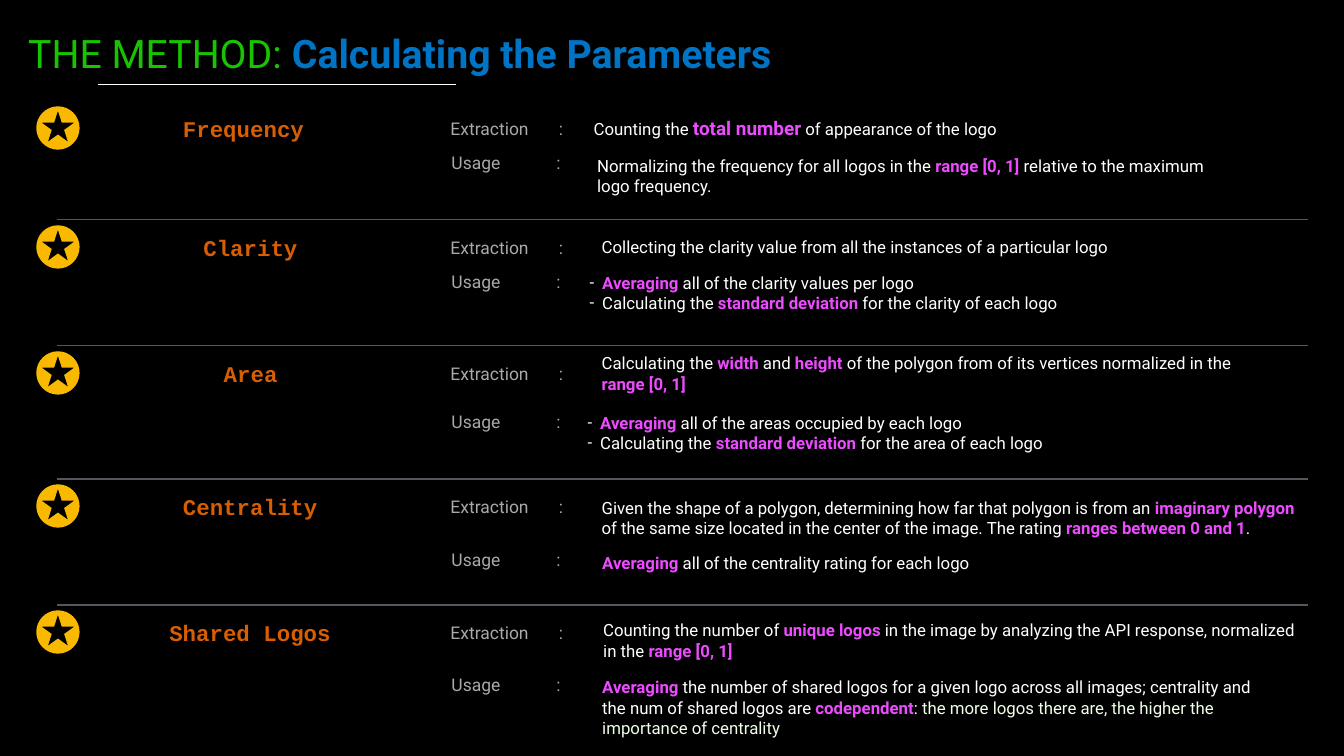
import math

from lxml import etree
from pptx import Presentation
from pptx.dml.color import RGBColor
from pptx.enum import shapes, text
from pptx.oxml.ns import qn
from pptx.util import Inches, Pt

THEME = {
    "background": "000000", "title": "18C400", "subtitle": "0074C4",
    "name": "D75E02", "label": "A9A9A9", "body": "FFFFFF", "pale": "F0FFE9",
    "highlight": "ED4BFF", "badge": "F9B900", "divider": "53585F",
    "sans": "Roboto", "mono": "Courier New",
    "title_size": 56, "name_size": 32, "label_size": 25,
    "body_size": 24, "large_size": 27,
}
# A first character inside *...* picks another style than the plain highlight.
MARKS = {
    "+": {"color": "highlight", "bold": True, "size": "large_size"},
    "~": {"color": "pale", "bold": False},
    "#": {"color": "subtitle", "bold": True},
}
HIGHLIGHT = {"color": "highlight", "bold": True}


def write(box, place, paragraphs, role, face="sans", bold=False, tab=None):
    """Place a box and fill it; *...* marks emphasis and '- ' a bullet."""
    box.left, box.top, box.width, box.height = (Inches(n) for n in place)
    frame = box.text_frame
    frame.word_wrap = True
    frame.auto_size = text.MSO_AUTO_SIZE.NONE
    frame.vertical_anchor = text.MSO_ANCHOR.MIDDLE
    frame.margin_left = frame.margin_top = frame.margin_bottom = Inches(0.06)
    frame.margin_right = 0
    for index, content in enumerate(paragraphs):
        paragraph = frame.add_paragraph() if index else frame.paragraphs[0]
        paragraph.alignment = text.PP_ALIGN.LEFT
        props = paragraph._p.get_or_add_pPr()
        if content.startswith("- "):
            content = content[2:]
            props.set("marL", str(Inches(0.25)))
            props.set("indent", str(-Inches(0.25)))
            bullet_color = etree.SubElement(props, qn("a:buClr"))
            etree.SubElement(bullet_color, qn("a:srgbClr"), val=THEME[role])
            etree.SubElement(props, qn("a:buFont"), typeface=THEME[face])
            etree.SubElement(props, qn("a:buChar"), char="-")
        if tab:
            stops = etree.SubElement(props, qn("a:tabLst"))
            etree.SubElement(stops, qn("a:tab"), pos=str(Inches(tab)), algn="l")
        paragraph.font.name = THEME[face]
        paragraph.font.size = Pt(THEME[role + "_size"])
        paragraph.font.bold = bold
        paragraph.font.color.rgb = RGBColor.from_string(THEME[role])
        for number, piece in enumerate(content.split("*")):
            if not piece:
                continue
            run = paragraph.add_run()
            run.text = piece
            if number % 2:
                style = MARKS.get(piece[0], HIGHLIGHT)
                run.text = piece.lstrip("+~#")
                run.font.bold = style["bold"]
                run.font.color.rgb = RGBColor.from_string(THEME[style["color"]])
                if "size" in style:
                    run.font.size = Pt(THEME[style["size"]])


def add_rule(left, right, y, color):
    """Draw a horizontal line without shadow."""
    rule = slide.shapes.add_connector(
        shapes.MSO_CONNECTOR.STRAIGHT, Inches(left), Inches(y), Inches(right), Inches(y))
    rule.line.color.rgb = RGBColor.from_string(THEME[color])
    rule.line.width = Pt(2)
    etree.SubElement(rule._element.spPr, qn("a:effectLst"))


# Each parameter: name, top, then (place, paragraphs) for extraction and usage.
PARAMETERS = [
    ("Frequency ", 2.11,
     ((11.72, 2.26, 8.35, 0.56),
      ["Counting the *+total number* of appearance of the logo"]),
     ((11.79, 3.03, 12.39, 0.91),
      ["Normalizing the frequency for all logos in the *range [0, 1]* relative to the maximum ",
       "logo frequency."])),
    ("Clarity", 4.47,
     ((11.88, 4.65, 10.19, 0.5),
      ["Collecting the clarity value from all the instances of a particular logo"]),
     ((11.64, 5.36, 9.69, 0.91),
      ["- *Averaging* all of the clarity values per logo",
       "- Calculating the *standard deviation* for the clarity of each logo"])),
    ("Area", 6.97,
     ((11.88, 6.95, 14.11, 0.91),
      ["Calculating the *width* and *height* of the polygon from of its vertices "
       "normalized in the ",
       "*range [0, 1]*"]),
     ((11.6, 8.13, 9.44, 0.91),
      ["- *Averaging* all of the areas occupied by each logo",
       "- Calculating the *standard deviation* for the area of each logo"])),
    ("Centrality", 9.61,
     ((11.88, 9.81, 14.18, 0.91),
      ["Given the shape of a polygon, determining how far that polygon is from an "
       "*imaginary polygon*",
       "of the same size located in the center of the image. "
       "The rating *ranges between 0 and 1*."]),
     ((11.89, 10.92, 7.53, 0.51),
      ["*Averaging* all of the centrality rating for each logo"])),
    ("Shared Logos", 12.11,
     ((11.91, 12.25, 14.11, 0.91),
      ["Counting the number of *unique logos* in the image by analyzing the API response, "
       "normalized",
       "in the *range [0, 1]*"]),
     ((11.89, 13.38, 13.18, 1.31),
      ["*Averaging* the number of shared logos for a given logo across all images; "
       "centrality and",
       "the num of shared logos are *codependent*: "
       "*~the more logos there are, the higher the *",
       "*~importance of centrality*"])),
]
USAGE_TOPS = [2.97, 5.33, 8.11, 10.84, 13.33]

deck = Presentation()
deck.slide_width, deck.slide_height = Inches(26.67), Inches(15)
slide = deck.slides.add_slide(deck.slide_layouts[5])
slide.background.fill.solid()
slide.background.fill.fore_color.rgb = RGBColor.from_string(THEME["background"])

write(slide.shapes.title, (0.5, 0.53, 15.67, 1.05),
      ["THE METHOD: *#Calculating the Parameters*"], "title")
add_rule(1.94, 9.04, 1.68, "body")

# Badge outline: a disc in four quarters with a five-pointed star cut out of it.
BADGE_X, BADGE_RADIUS, STAR_RADII = 1.15, 0.43, (0.34, 0.13)
ARC_HANDLE = 0.5523
disc = [(0, -BADGE_RADIUS), (-BADGE_RADIUS, 0), (0, BADGE_RADIUS), (BADGE_RADIUS, 0),
        (0, -BADGE_RADIUS)]
star = [(STAR_RADII[i % 2] * math.sin(math.radians(36 * i)),
         -STAR_RADII[i % 2] * math.cos(math.radians(36 * i))) for i in range(10)]

for (name, top, extraction, usage), usage_top in zip(PARAMETERS, USAGE_TOPS):
    if top > PARAMETERS[0][1]:
        add_rule(1.14, 25.95, top - 0.11, "divider")

    disc_points, star_points = (
        [(Inches(BADGE_X + x), Inches(top + BADGE_RADIUS + y)) for x, y in outline]
        for outline in (disc, star))
    builder = slide.shapes.build_freeform(*disc_points[0])
    builder.add_line_segments(disc_points[1:], close=True)
    builder.move_to(*star_points[0])
    builder.add_line_segments(star_points[1:], close=True)
    badge = builder.convert_to_shape()
    badge.shadow.inherit = False
    badge.fill.solid()
    badge.fill.fore_color.rgb = RGBColor.from_string(THEME["badge"])
    badge.line.fill.background()
    # Bend the four disc segments into quarter circles.
    quarters = list(badge._element.iter(qn("a:lnTo")))[:4]
    for segment, start, end in zip(quarters, disc, disc[1:]):
        handles = [(a[0] + ARC_HANDLE * b[0], a[1] + ARC_HANDLE * b[1])
                   for a, b in ((start, end), (end, start))]
        curve = etree.Element(qn("a:cubicBezTo"))
        for x, y in handles + [end]:
            etree.SubElement(curve, qn("a:pt"), x=str(Inches(BADGE_RADIUS + x)),
                             y=str(Inches(BADGE_RADIUS + y)))
        segment.getparent().replace(segment, curve)

    name_width = 0.27 * len(name) + 0.12
    write(slide.shapes.add_textbox(0, 0, 0, 0),
          (4.98 - name_width / 2, top + 0.12, name_width, 0.64),
          [name], "name", face="mono", bold=True)
    for label, left, label_top, width, colon in (
            ("Extraction", 8.88, top + 0.18, 2.53, 2.15),
            ("Usage", 8.9, usage_top, 2.5, 2.08)):
        write(slide.shapes.add_textbox(0, 0, 0, 0), (left, label_top, width, 0.52),
              [label + "\t:"], "label", tab=colon)
    for place, paragraphs in (extraction, usage):
        write(slide.shapes.add_textbox(0, 0, 0, 0), place, paragraphs, "body")

deck.save("out.pptx")
